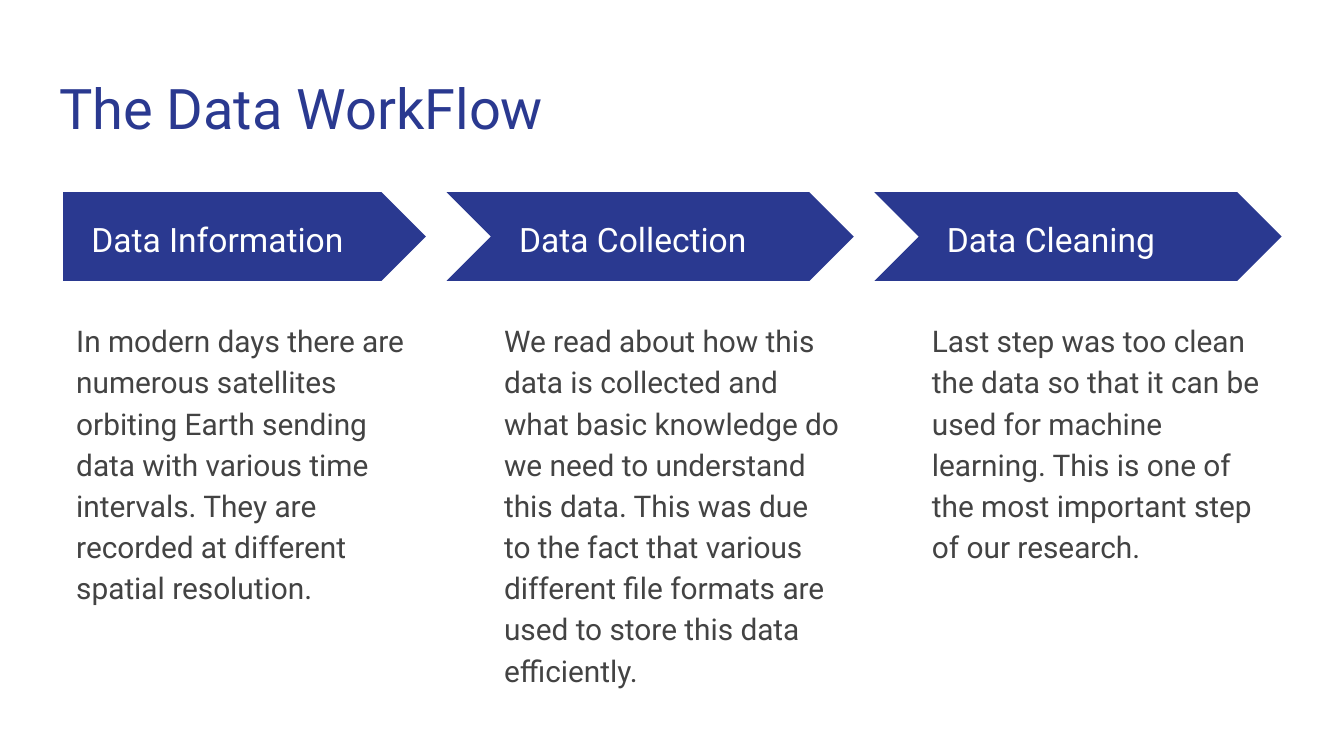
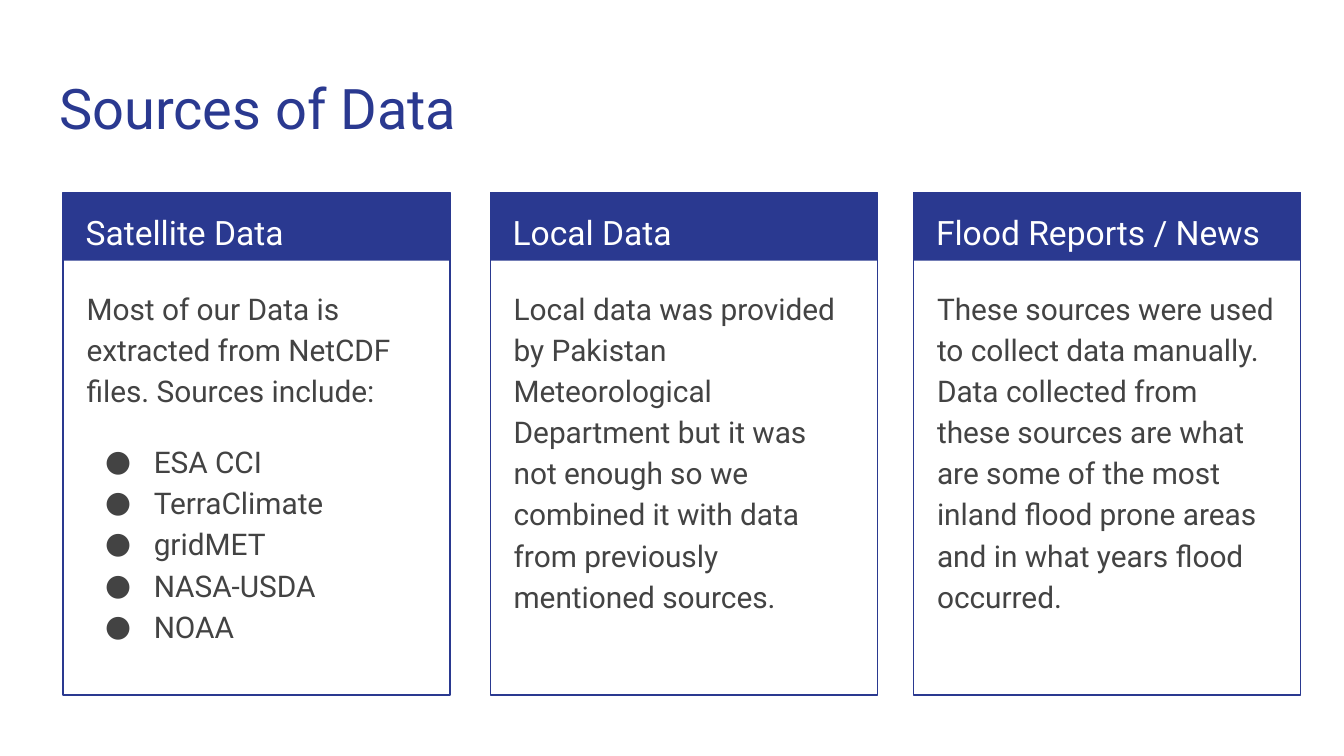
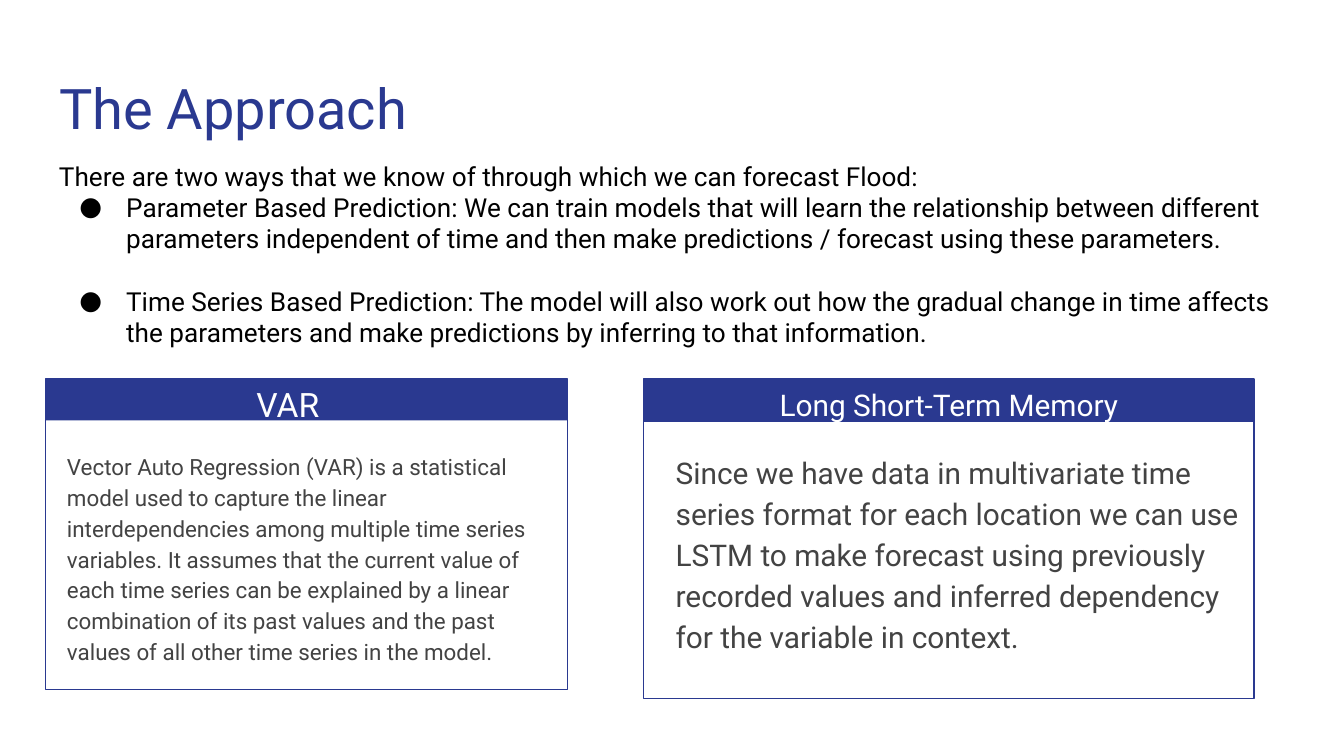
from lxml.etree import SubElement
from pptx import Presentation
from pptx.dml.color import RGBColor
from pptx.enum.shapes import MSO_SHAPE
from pptx.enum.text import MSO_ANCHOR, MSO_AUTO_SIZE, PP_ALIGN
from pptx.oxml.ns import qn
from pptx.util import Pt

# Shared look
FONT = "Roboto"
NAVY = RGBColor(0x2A, 0x39, 0x90)
GRAY = RGBColor(0x43, 0x43, 0x43)
BLACK = RGBColor(0, 0, 0)
WHITE = RGBColor(0xFF, 0xFF, 0xFF)
INSET = 7.2
LEFT, TOP = 33.8, 103


def style(para, size, color, align=PP_ALIGN.LEFT):
    para.alignment = align
    para.font.name = FONT
    para.font.size = Pt(size)
    para.font.color.rgb = color


def set_frame(frame, anchor=MSO_ANCHOR.TOP):
    frame.word_wrap = True
    frame.auto_size = MSO_AUTO_SIZE.NONE
    frame.vertical_anchor = anchor
    frame.margin_left = frame.margin_right = Pt(INSET)
    frame.margin_top = frame.margin_bottom = Pt(INSET)


def add_bullet(para, size):
    props = para._p.get_or_add_pPr()
    props.set("marL", str(Pt(36)))
    props.set("indent", str(-Pt(18 + size / 2)))
    SubElement(props, qn("a:buFont")).set("typeface", FONT)
    SubElement(props, qn("a:buChar")).set("char", "●")


def add_text(slide, box, lines, size, color, gap=1.15,
             align=PP_ALIGN.LEFT, anchor=MSO_ANCHOR.TOP):
    """Lines are plain strings, or (string, space before) for bullets."""
    frame = slide.shapes.add_textbox(*map(Pt, box)).text_frame
    set_frame(frame, anchor)
    for num, line in enumerate(lines):
        para = frame.add_paragraph() if num else frame.paragraphs[0]
        if isinstance(line, tuple):
            line, space = line
            add_bullet(para, size)
            para.space_before = Pt(space)
        para.text = line
        para.line_spacing = gap
        style(para, size, color, align)


def add_block(slide, kind, box, fill=None, line=None):
    shape = slide.shapes.add_shape(kind, *map(Pt, box))
    shape.shadow.inherit = False
    if fill is None:
        shape.fill.background()
    else:
        shape.fill.solid()
        shape.fill.fore_color.rgb = fill
    if line is None:
        shape.line.fill.background()
    else:
        shape.line.color.rgb = line
        shape.line.width = Pt(0.75)


def new_slide(deck, title):
    slide = deck.slides.add_slide(deck.slide_layouts[5])
    head = slide.shapes.title
    head.left, head.top, head.width, head.height = map(
        Pt, (24.5, 32.4, 671, 47.5))
    set_frame(head.text_frame)
    head.text_frame.text = title
    style(head.text_frame.paragraphs[0], 30, NAVY)
    return slide


# One step: arrow, its label and the text below
def add_step(slide, x, y, kind, label, body):
    width, high = 194.4, 47.5
    notch = high / 2 if kind == MSO_SHAPE.CHEVRON else 0
    add_block(slide, kind, (x - notch, y, width + notch, high), NAVY)
    add_text(slide, (x + 8, y + 11.5, 178, 24.5), [label], 18, WHITE,
             anchor=MSO_ANCHOR.MIDDLE)
    add_text(slide, (x, y + 60, width, 208), [body], 16, GRAY)


# One card: frame and band, with head and body boxes relative to the frame
def add_card(slide, box, band, head, body):
    x, y, width, _ = box
    add_block(slide, MSO_SHAPE.RECTANGLE, (x, y, width, band), NAVY)
    add_block(slide, MSO_SHAPE.RECTANGLE, box, line=NAVY)
    for (dx, dy, *dims), lines, size, color, align in (head, body):
        add_text(slide, (x + dx, y + dy, *dims), lines, size, color,
                 align=align)


def make_flow(deck):
    slide = new_slide(deck, "The Data WorkFlow")
    steps = [
        (MSO_SHAPE.PENTAGON, "Data Information",
         "In modern days there are numerous satellites orbiting Earth "
         "sending data with various time intervals. They are recorded at "
         "different spatial resolution."),
        (MSO_SHAPE.CHEVRON, "Data Collection",
         "We read about how this data is collected and what basic knowledge "
         "do we need to understand this data. This was due to the fact that "
         "various different file formats are used to store this data "
         "efficiently."),
        (MSO_SHAPE.CHEVRON, "Data Cleaning",
         "Last step was too clean the data so that it can be used for "
         "machine learning. This is one of the most important step of our "
         "research."),
    ]
    for num, step in enumerate(steps):
        add_step(slide, LEFT + num * 229.2, TOP, *step)


def make_sources(deck):
    slide = new_slide(deck, "Sources of Data")
    names = ["TerraClimate", "gridMET", "NASA-USDA", "NOAA"]
    cards = [
        (LEFT, "Satellite Data",
         ["Most of our Data is extracted from NetCDF files. "
          "Sources include:", ("ESA CCI", 16)]
         + [(name, 0) for name in names]),
        (262.6, "Local Data",
         ["Local data was provided by Pakistan Meteorological Department "
          "but it was not enough so we combined it with data from "
          "previously mentioned sources."]),
        (489.4, "Flood Reports / News",
         ["These sources were used to collect data manually. Data collected "
          "from these sources are what are some of the most inland flood "
          "prone areas and in what years flood occurred."]),
    ]
    for x, head, body in cards:
        add_card(slide, (x, TOP, 207.4, 269.3), 36.7,
                 ((5, 0, 196.6, 36), [head], 18, WHITE, PP_ALIGN.LEFT),
                 ((5.5, 42.5, 195.1, 220.3), body, 16, GRAY, PP_ALIGN.LEFT))


def make_plan(deck):
    slide = new_slide(deck, "The Approach")
    add_text(slide, (24.5, 78.5, 671, 116.6), [
        "There are two ways that we know of through which we can forecast "
        "Flood:",
        ("Parameter Based Prediction: We can train models that will learn "
         "the relationship between different parameters independent of time "
         "and then make predictions / forecast using these parameters.", 0),
        ("Time Series Based Prediction: The model will also work out how the "
         "gradual change in time affects the parameters and make predictions "
         "by inferring to that information.", 16.7),
    ], 14, BLACK, gap=1)
    add_card(slide, (344.9, 203, 326.9, 171.4), 23,
             ((-15.8, -5.7, 358.5, 25.2), ["Long Short-Term Memory"], 16,
              WHITE, PP_ALIGN.CENTER),
             ((10, 30.3, 323.3, 154),
              ["Since we have data in multivariate time series format for "
               "each location we can use LSTM to make forecast using "
               "previously recorded values and inferred dependency for the "
               "variable in context."], 16, GRAY, PP_ALIGN.LEFT))
    add_card(slide, (24.5, 203, 279.4, 166.3), 22.3,
             ((105.8, -7.9, 137.5, 25.2), ["VAR"], 18, WHITE,
              PP_ALIGN.LEFT),
             ((4.3, 30.3, 275, 126),
              ["Vector Auto Regression (VAR) is a statistical model used to "
               "capture the linear interdependencies among multiple time "
               "series variables. It assumes that the current value of each "
               "time series can be explained by a linear combination of its "
               "past values and the past values of all other time series in "
               "the model."], 12, GRAY, PP_ALIGN.LEFT))


def main():
    deck = Presentation()
    deck.slide_width, deck.slide_height = Pt(720), Pt(405)
    make_flow(deck)
    make_sources(deck)
    make_plan(deck)
    deck.save("out.pptx")


if __name__ == "__main__":
    main()
